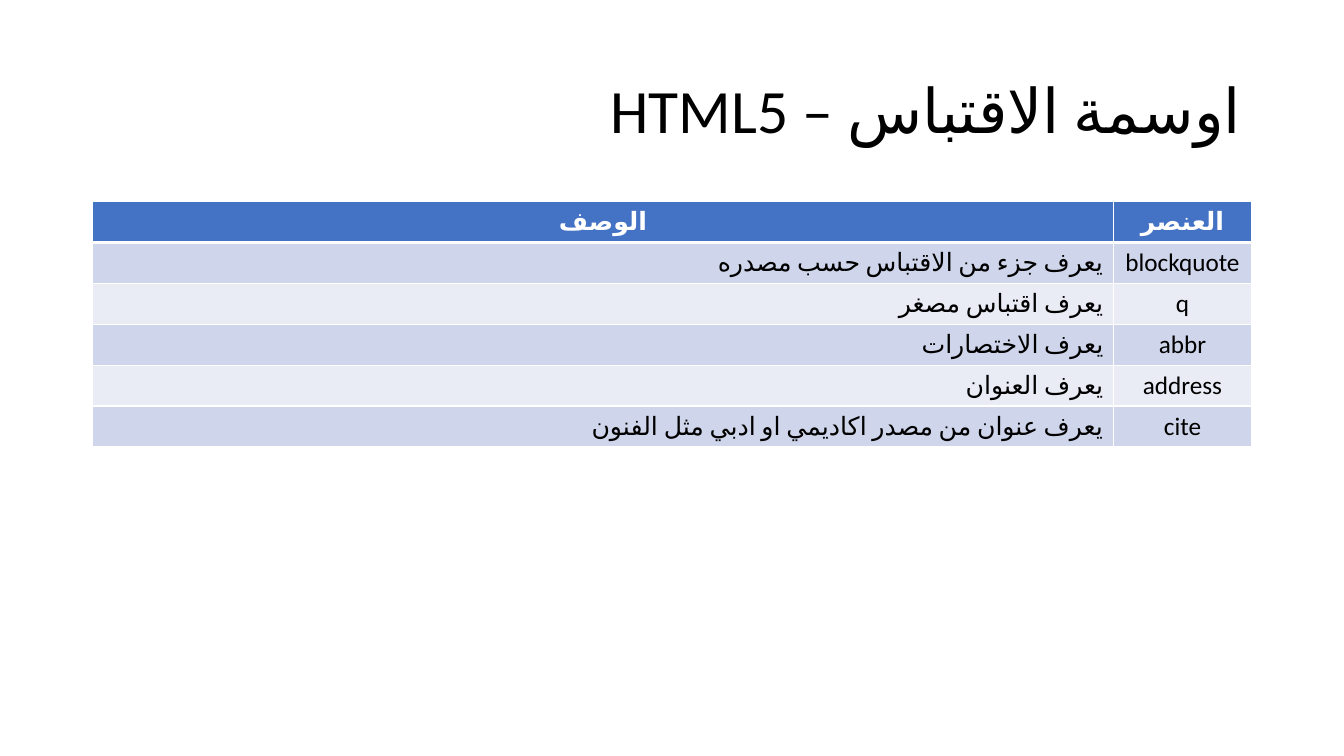
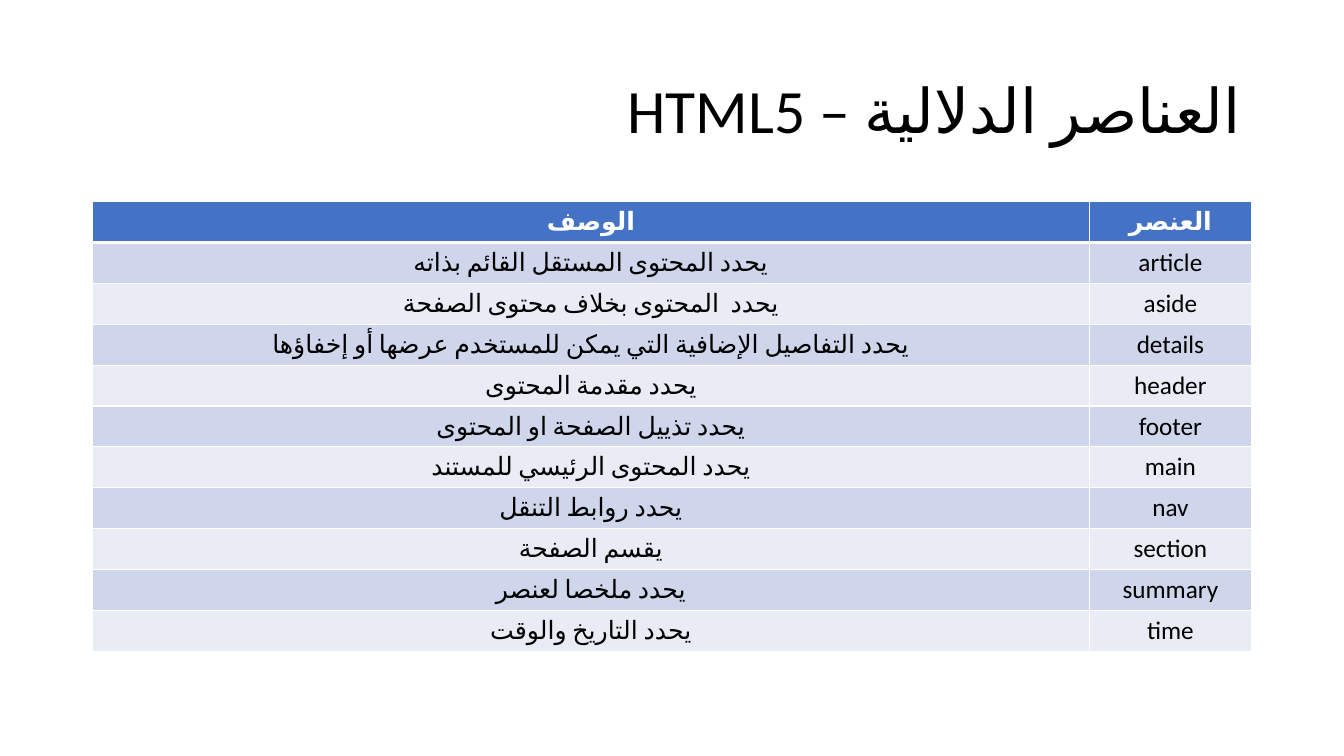
from lxml import etree
from pptx import Presentation
from pptx import util as u
from pptx.dml import color
from pptx.enum import lang, text
from pptx.oxml import ns

FONT = "Calibri"
BLACK, WHITE = "000000", "FFFFFF"
HEADER_FILL = "4472C4"
BAND_FILLS = ("CFD5EA", "E9EBF5")
LEFT, WIDTH = u.Cm(2.33), u.Cm(29.21)
TITLE_TOP, TITLE_HEIGHT = u.Cm(1.01), u.Cm(3.68)
TABLE_TOP, ROW_HEIGHT = u.Cm(5.08), u.Cm(1.03)
CENTER, RIGHT = text.PP_ALIGN.CENTER, text.PP_ALIGN.RIGHT
HEADINGS = ("الوصف", "العنصر")

QUOTE_TAGS = [
    ("يعرف جزء من الاقتباس حسب مصدره", "blockquote"),
    ("يعرف اقتباس مصغر", "q"),
    ("يعرف الاختصارات", "abbr"),
    ("يعرف العنوان", "address"),
    ("يعرف عنوان من مصدر اكاديمي او ادبي مثل الفنون", "cite"),
]
SEMANTIC_TAGS = [
    ("يحدد المحتوى المستقل القائم بذاته", "article"),
    ("يحدد  المحتوى بخلاف محتوى الصفحة", "aside"),
    ("يحدد التفاصيل الإضافية التي يمكن للمستخدم عرضها أو إخفاؤها", "details"),
    ("يحدد مقدمة المحتوى", "header"),
    ("يحدد تذييل الصفحة او المحتوى", "footer"),
    ("يحدد المحتوى الرئيسي للمستند", "main"),
    ("يحدد روابط التنقل", "nav"),
    ("يقسم الصفحة", "section"),
    ("يحدد ملخصا لعنصر", "summary"),
    ("يحدد التاريخ والوقت", "time"),
]


def rgb(value):
    return color.RGBColor.from_string(value)


def write_rtl(frame, words, size, ink, align, bold=False):
    para = frame.paragraphs[0]
    para.alignment = align
    para._p.get_or_add_pPr().set("rtl", "1")
    span = para.add_run()
    span.text = words
    span.font.name = FONT
    span.font.size = u.Pt(size)
    span.font.bold = bold
    span.font.color.rgb = rgb(ink)
    span.font.language_id = lang.MSO_LANGUAGE_ID.ARABIC
    etree.SubElement(span._r.get_or_add_rPr(), ns.qn("a:cs"), typeface=FONT)
    return para


def add_title(page, words):
    title = page.shapes.title
    title.left, title.top = LEFT, TITLE_TOP
    title.width, title.height = WIDTH, TITLE_HEIGHT
    frame = title.text_frame
    frame.auto_size = text.MSO_AUTO_SIZE.NONE
    frame.vertical_anchor = text.MSO_ANCHOR.MIDDLE
    write_rtl(frame, words, 44, BLACK, RIGHT).line_spacing = 0.9


def set_borders(cell, top, bottom):
    properties = cell._tc.get_or_add_tcPr()
    for side, points in (("L", 1), ("R", 1), ("T", top), ("B", bottom)):
        line = etree.SubElement(properties, ns.qn(f"a:ln{side}"), w=str(u.Pt(points)))
        fill = etree.SubElement(line, ns.qn("a:solidFill"))
        etree.SubElement(fill, ns.qn("a:srgbClr"), val=WHITE)


def add_tag_table(page, tags, tag_width, description_align):
    rows = [HEADINGS, *tags]
    frame = page.shapes.add_table(
        len(rows), len(HEADINGS), LEFT, TABLE_TOP, WIDTH, ROW_HEIGHT * len(rows))
    table = frame.table
    table.columns[0].width = WIDTH - tag_width
    table.columns[1].width = tag_width
    for index, words in enumerate(rows):
        header = index == 0
        table.rows[index].height = ROW_HEIGHT
        fill = HEADER_FILL if header else BAND_FILLS[(index - 1) % 2]
        aligns = (CENTER if header else description_align, CENTER)
        for column, align in enumerate(aligns):
            cell = table.cell(index, column)
            set_borders(cell, 3 if index == 1 else 1, 3 if header else 1)
            cell.fill.solid()
            cell.fill.fore_color.rgb = rgb(fill)
            ink = WHITE if header else BLACK
            write_rtl(cell.text_frame, words[column], 18, ink, align, header)


def add_tag_page(deck, title, tags, tag_width, description_align):
    page = deck.slides.add_slide(deck.slide_layouts.get_by_name("Title Only"))
    add_title(page, title)
    add_tag_table(page, tags, tag_width, description_align)


def main():
    deck = Presentation()
    deck.slide_width, deck.slide_height = u.Cm(33.87), u.Cm(19.05)
    add_tag_page(deck, "اوسمة الاقتباس – HTML5", QUOTE_TAGS, u.Cm(3.48), RIGHT)
    add_tag_page(deck, "العناصر الدلالية – HTML5", SEMANTIC_TAGS, u.Cm(4.09), CENTER)
    deck.save("out.pptx")


if __name__ == "__main__":
    main()
